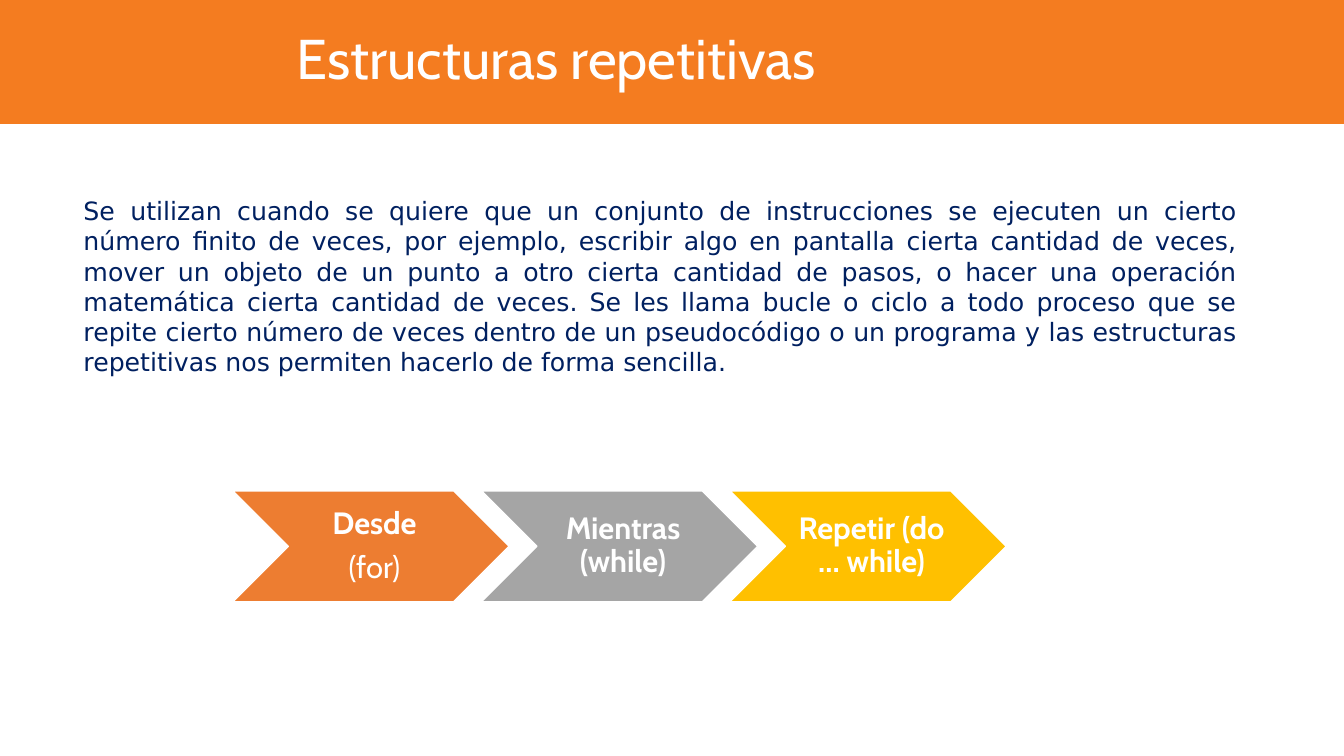
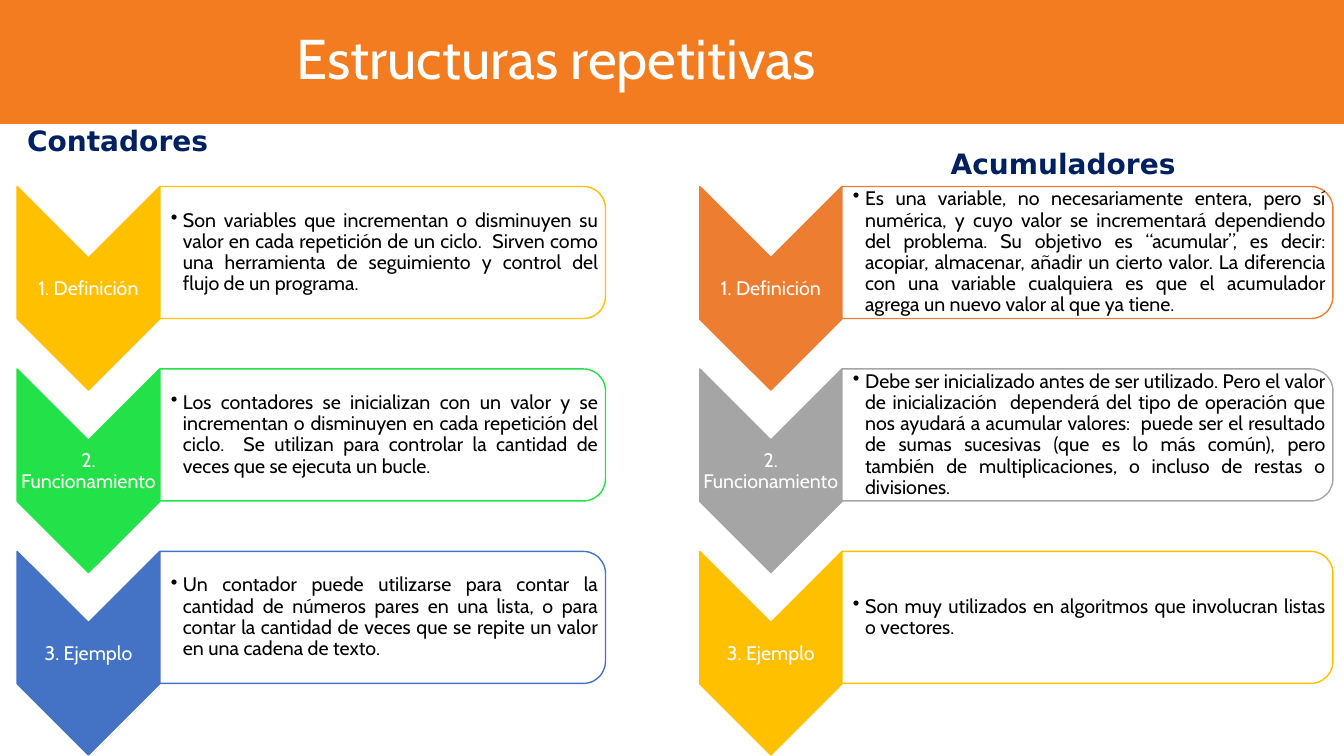
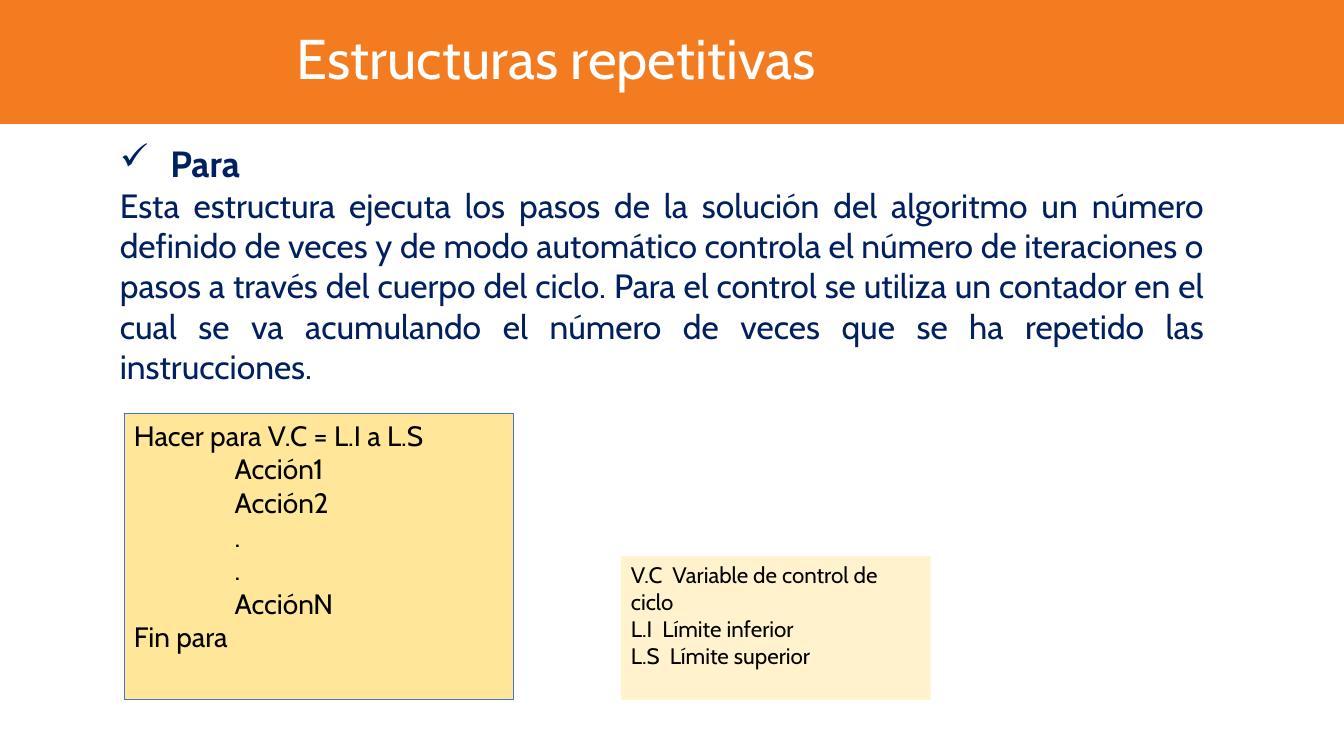
"""Build three slides about repetition structures, counters and accumulators."""
import pptx
import pptx.dml.color
import pptx.enum.shapes
import pptx.enum.text
import pptx.oxml.ns
import pptx.util
from lxml import etree

Inches = pptx.util.Inches
Pt = pptx.util.Pt
RGBColor = pptx.dml.color.RGBColor
Shape = pptx.enum.shapes.MSO_SHAPE
Align = pptx.enum.text.PP_ALIGN
Anchor = pptx.enum.text.MSO_ANCHOR

COLORS = {
    "band": "F47C20",
    "white": "FFFFFF",
    "black": "000000",
    "navy": "002060",
    "orange": "ED7D31",
    "gray": "A5A5A5",
    "gold": "FFC000",
    "green": "23E148",
    "blue": "4472C4",
    "code": "FFE699",
    "legend": "FFF2CC",
}
TITLE = "Estructuras repetitivas"
MAIN_FONT = "Cabin"
WIDE_FONT = "DejaVu Sans"


def add_box(slide, box, kind=None, fill=None, line=None, line_width=1, turned=False):
    """Add a preset shape, or a text box when no kind is given; box is its visible bounds."""
    left, top, width, height = box
    if turned:
        left, top = left + (width - height) / 2, top + (height - width) / 2
        width, height = height, width
    bounds = [Inches(value) for value in (left, top, width, height)]
    if kind is None:
        return slide.shapes.add_textbox(*bounds)
    shape = slide.shapes.add_shape(kind, *bounds)
    shape.shadow.inherit = False
    shape.rotation = 90 if turned else 0
    shape.fill.solid()
    shape.fill.fore_color.rgb = RGBColor.from_string(COLORS[fill])
    if line:
        shape.line.color.rgb = RGBColor.from_string(COLORS[line])
        shape.line.width = Pt(line_width)
    else:
        shape.line.fill.background()
    return shape


def write_text(shape, lines, size, color, font=MAIN_FONT, bold=False, align=Align.LEFT,
               anchor=Anchor.TOP, insets=(0.1, 0.05, 0.1, 0.05), spacing=None,
               indents=None, bullets=None):
    """Write and format lines; indents maps a line number to (left, first line) in inches."""
    frame = shape.text_frame
    frame.text = "\n".join(lines)
    frame.word_wrap = True
    frame.vertical_anchor = anchor
    frame.margin_left, frame.margin_top, frame.margin_right, frame.margin_bottom = [
        Inches(inset) for inset in insets]
    for number, paragraph in enumerate(frame.paragraphs):
        paragraph.alignment = align
        if spacing:
            paragraph.line_spacing = spacing
        properties = paragraph._p.get_or_add_pPr()
        if indents and number in indents:
            left, first = indents[number]
            properties.set("marL", str(Inches(left)))
            properties.set("indent", str(Inches(first)))
        if bullets and number in bullets:
            bullet = etree.SubElement(properties, pptx.oxml.ns.qn("a:buChar"))
            bullet.set("char", bullets[number])
        for run in paragraph.runs:
            run.font.name = font
            run.font.size = Pt(size)
            run.font.bold = bold
            run.font.color.rgb = RGBColor.from_string(COLORS[color])
    return frame


presentation = pptx.Presentation()
presentation.slide_width = Inches(13.33)
presentation.slide_height = Inches(7.5)

layout = presentation.slide_layouts[5]
layout_title = layout.placeholders[0]
layout_title.left, layout_title.top = Inches(0.59), Inches(0.18)
layout_title.width, layout_title.height = Inches(9.85), Inches(0.77)

slides = [presentation.slides.add_slide(layout) for _ in range(3)]
overview, variables, for_loop = slides

band = add_box(overview, (0, 0, 13.33, 1.23), Shape.RECTANGLE, "band")
band.element.nvSpPr.cNvPr.set("id", "20")
layout.shapes.element.insert(2, band.element)

for slide in slides:
    write_text(slide.shapes.title, [TITLE], 40, "white", align=Align.CENTER)

introduction = (
    "Se utilizan cuando se quiere que un conjunto de instrucciones se ejecuten un cierto "
    "número finito de veces, por ejemplo, escribir algo en pantalla cierta cantidad de veces, "
    "mover un objeto de un punto a otro cierta cantidad de pasos, o hacer una operación "
    "matemática cierta cantidad de veces. Se les llama bucle o ciclo a todo proceso que se "
    "repite cierto número de veces dentro de un pseudocódigo o un programa y las estructuras "
    "repetitivas nos permiten hacerlo de forma sencilla."
)
write_text(add_box(overview, (0.73, 1.89, 11.64, 1.92)), [introduction], 18, "navy",
           font=WIDE_FONT, align=Align.JUSTIFY)

loop_kinds = [
    (["Desde", "(for)"], "orange"),
    (["Mientras (while)"], "gray"),
    (["Repetir (do … while)"], "gold"),
]
for index, (lines, color) in enumerate(loop_kinds):
    chevron = add_box(overview, (2.31 + index * 2.465, 4.87, 2.74, 1.1),
                      Shape.CHEVRON, color, "white")
    frame = write_text(chevron, lines, 22, "white", bold=True, align=Align.CENTER,
                       anchor=Anchor.MIDDLE, insets=(0.1, 0.03, 0.03, 0.03), spacing=0.9)
    for paragraph in frame.paragraphs[1:]:
        paragraph.space_before = Pt(7.7)
        paragraph.runs[0].font.bold = False

steps = ["1. Definición", "2. Funcionamiento", "3. Ejemplo"]
columns = [
    ("Contadores", (0.17, 1.18, 2.18, 0.44), 0.17, 1.415, 4.42, [
        ("gold", "Son variables que incrementan o disminuyen su valor en cada repetición de un "
                 "ciclo.  Sirven como una herramienta de seguimiento y control del flujo de un "
                 "programa."),
        ("green", "Los contadores se inicializan con un valor y se incrementan o disminuyen en "
                  "cada repetición del ciclo.  Se utilizan para controlar la cantidad de veces "
                  "que se ejecuta un bucle."),
        ("blue", "Un contador puede utilizarse para contar la cantidad de números pares en una "
                 "lista, o para contar la cantidad de veces que se repite un valor en una cadena "
                 "de texto."),
    ]),
    ("Acumuladores", (9.33, 1.4, 2.77, 0.44), 6.94, 1.41, 4.87, [
        ("orange", "Es una variable, no necesariamente entera, pero sí numérica, y cuyo valor se "
                   "incrementará dependiendo del problema. Su objetivo es “acumular”, es decir: "
                   "acopiar, almacenar, añadir un cierto valor. La diferencia con una variable "
                   "cualquiera es que el acumulador agrega un nuevo valor al que ya tiene."),
        ("gray", "Debe ser inicializado antes de ser utilizado. Pero el valor de inicialización  "
                 "dependerá del tipo de operación que nos ayudará a acumular valores:  puede ser "
                 "el resultado de sumas sucesivas (que es lo más común), pero también de "
                 "multiplicaciones, o incluso de restas o divisiones."),
        ("gold", "Son muy utilizados en algoritmos que involucran listas o vectores."),
    ]),
]
for heading, heading_box, left, step_width, card_width, rows in columns:
    write_text(add_box(variables, heading_box), [heading], 20, "navy",
               font=WIDE_FONT, bold=True, align=Align.JUSTIFY)
    card_left = left + step_width
    for index, (step, (color, description)) in enumerate(zip(steps, rows)):
        top = 1.85 + index * 1.81
        add_box(variables, (left, top, step_width, 2.02), Shape.CHEVRON,
                color, color, turned=True)
        write_text(add_box(variables, (left, top + 0.71, step_width, 0.61)), [step], 14, "white",
                   align=Align.CENTER, anchor=Anchor.MIDDLE, insets=[0.01] * 4, spacing=0.9)
        add_box(variables, (card_left, top, card_width, 1.31),
                Shape.ROUND_2_SAME_RECTANGLE, "white", color, turned=True)
        write_text(add_box(variables, (card_left, top + 0.06, card_width - 0.06, 1.19)),
                   [description], 14, "black", align=Align.JUSTIFY, anchor=Anchor.MIDDLE,
                   insets=(0.11, 0.01, 0.01, 0.01), spacing=0.9,
                   indents={0: (0.12, -0.12)}, bullets={0: "•"})

explanation = (
    "Esta estructura ejecuta los pasos de la solución del algoritmo un número definido de veces "
    "y de modo automático controla el número de iteraciones o pasos a través del cuerpo del "
    "ciclo. Para el control se utiliza un contador en el cual se va acumulando el número de "
    "veces que se ha repetido las instrucciones."
)
frame = write_text(add_box(for_loop, (0.59, 1.35, 11.45, 2.59)), ["Para", explanation],
                   24, "navy", align=Align.JUSTIFY,
                   indents={0: (1, -0.5), 1: (0.5, 0)}, bullets={0: "✓"})
frame.paragraphs[0].alignment = Align.LEFT
frame.paragraphs[0].runs[0].font.size = Pt(26)
frame.paragraphs[0].runs[0].font.bold = True

code_lines = ["Hacer para V.C = L.I a L.S", "Acción1", "Acción2", ".", ".", "AcciónN", "Fin para"]
code_box = add_box(for_loop, (1.23, 4.1, 3.86, 2.84), Shape.RECTANGLE, "code", "blue", 0.5)
write_text(code_box, code_lines, 20, "black",
           indents={number: (1, 0) for number in range(1, len(code_lines) - 1)})

legend_lines = ["V.C  Variable de control de ciclo", "L.I  Límite inferior", "L.S  Límite superior"]
legend_box = add_box(for_loop, (6.16, 5.52, 3.07, 1.42), Shape.RECTANGLE, "legend")
write_text(legend_box, legend_lines, 16, "black")

presentation.save("out.pptx")
